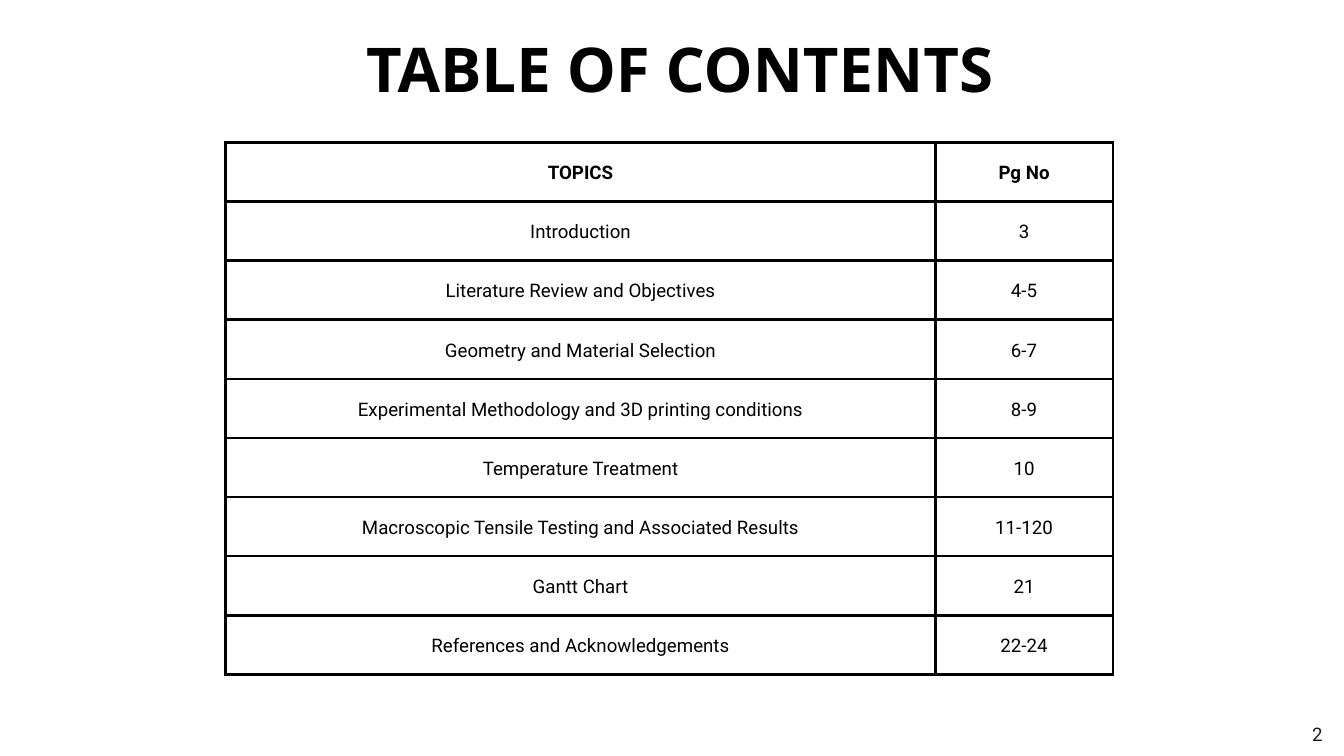
import pptx
import pptx.dml.color
import pptx.enum.text
import pptx.oxml
import pptx.oxml.ns
import pptx.util

Cm = pptx.util.Cm
Pt = pptx.util.Pt
ALIGN = pptx.enum.text.PP_ALIGN
ANCHOR = pptx.enum.text.MSO_ANCHOR

BLACK = "000000"
INK = "191824"
TOPICS = [
    ("TOPICS", "Pg No"),
    ("Introduction", "3"),
    ("Literature Review and Objectives", "4-5"),
    ("Geometry and Material Selection", "6-7"),
    ("Experimental Methodology and 3D printing conditions", "8-9"),
    ("Temperature Treatment", "10"),
    ("Macroscopic Tensile Testing and Associated Results", "11-120"),
    ("Gantt Chart", "21"),
    ("References and Acknowledgements", "22-24"),
]


def rgb(value):
    return pptx.dml.color.RGBColor.from_string(value)


def write(tf, text, font, size, color, spacing, align, bold=False):
    p = tf.paragraphs[0]
    p.alignment = align
    p.line_spacing = Pt(spacing)
    r = p.add_run()
    r.text = text
    r.font.name = font
    r.font.size = Pt(size)
    r.font.bold = bold
    r.font.color.rgb = rgb(color)


def add_text(s, box, wrap=True):
    tf = s.shapes.add_textbox(*map(Cm, box)).text_frame
    tf.margin_left = tf.margin_right = tf.margin_top = tf.margin_bottom = 0
    tf.word_wrap = wrap
    return tf


def add_title(s, box):
    write(add_text(s, box), "TABLE OF CONTENTS", "Open Sans", 66.1, BLACK,
          79.3, ALIGN.RIGHT, True)


def add_page_number(s, box):
    write(add_text(s, box, False), "2", "Roboto", 20, INK, 28, ALIGN.CENTER)


def set_borders(cell, color, width):
    tcPr = cell._tc.get_or_add_tcPr()
    for i, side in enumerate(("lnL", "lnR", "lnT", "lnB")):
        tcPr.insert(i, pptx.oxml.parse_xml(
            f'<a:{side} {pptx.oxml.ns.nsdecls("a")} w="{Pt(width)}">'
            f'<a:solidFill><a:srgbClr val="{color}"/></a:solidFill>'
            f'</a:{side}>'))


def add_contents(s, box):
    left, top, width, height = box
    table = s.shapes.add_table(len(TOPICS), 2, *map(Cm, box)).table
    table.first_row = table.horz_banding = False
    for column, share in zip(table.columns, (0.8, 0.2)):
        column.width = Cm(width * share)
    for i, entries in enumerate(TOPICS):
        table.rows[i].height = Cm(height / len(TOPICS))
        for j, text in enumerate(entries):
            cell = table.cell(i, j)
            cell.fill.background()
            cell.vertical_anchor = ANCHOR.MIDDLE
            cell.margin_left = cell.margin_right = Cm(0.53)
            cell.margin_top = cell.margin_bottom = Cm(0.53)
            set_borders(cell, BLACK, 3)
            write(cell.text_frame, text, "Roboto", 20, BLACK, 26.6,
                  ALIGN.CENTER, i == 0)


def main():
    prs = pptx.Presentation()
    prs.slide_width, prs.slide_height = Cm(50.8), Cm(28.58)
    s = prs.slides.add_slide(prs.slide_layouts[6])
    add_contents(s, (8.53, 5.38, 33.53, 20.12))
    add_page_number(s, (49.58, 27.2, 0.43, 0.56))
    add_title(s, (13.23, 1.17, 24.33, 2.77))
    prs.save("out.pptx")


if __name__ == "__main__":
    main()
